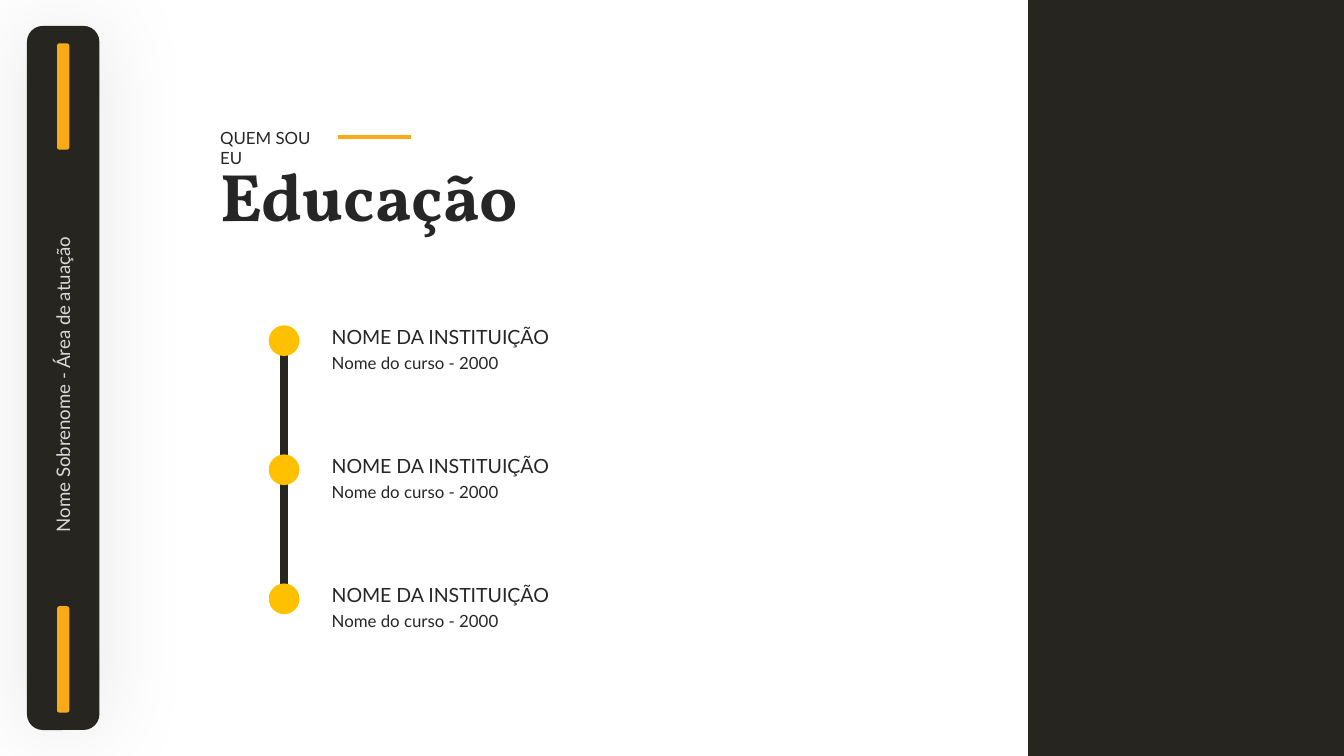
from dataclasses import dataclass

from lxml.etree import SubElement
from pptx import Presentation
from pptx.dml.color import RGBColor
from pptx.enum.shapes import MSO_CONNECTOR as Link, MSO_SHAPE as Shape
from pptx.enum.text import MSO_AUTO_SIZE as AutoSize
from pptx.oxml.ns import qn
from pptx.util import Cm, Pt


@dataclass(frozen=True)
class Theme:
    """Colours and text formats of the slide."""
    dark: str = "262520"
    accent: str = "F9AB17"
    dot: str = "FFC000"
    ink: str = "262626"
    pale: str = "D9D9D9"
    body_font: str = "Lato"
    title_font: str = "Vollkorn"
    title_size: float = 36
    institution_size: float = 10.5
    label_size: float = 10
    small_size: float = 9

    def text(self, size, **changes):
        """Return the font values for a text of the given size."""
        return {"name": self.body_font, "size": Pt(size), "color": self.ink} | changes


THEME = Theme()


def set_font(font, values):
    """Apply a dict of format values to a font."""
    for key, value in values.items():
        if key == "color":
            font.color.rgb = RGBColor.from_string(value)
        else:
            setattr(font, key, value)


def add_block(slide, kind, box, color, rounding=None):
    """Add a plain filled shape."""
    block = slide.shapes.add_shape(kind, *map(Cm, box))
    block.shadow.inherit = False
    block.fill.solid()
    block.fill.fore_color.rgb = RGBColor.from_string(color)
    block.line.fill.background()
    if rounding is not None:
        block.adjustments[0] = rounding
    return block


def add_glow(block, blur, opacity):
    """Give a shape a soft black shadow without offset."""
    effects = block._element.spPr.find(qn("a:effectLst"))
    shadow = SubElement(effects, qn("a:outerShdw"), blurRad=str(Pt(blur)),
                        dist="0", dir="0", algn="ctr", rotWithShape="0")
    black = SubElement(shadow, qn("a:srgbClr"), val="000000")
    SubElement(black, qn("a:alpha"), val=str(opacity * 1000))


def add_rule(slide, start, end, color, width):
    """Add a straight line between two points."""
    rule = slide.shapes.add_connector(Link.STRAIGHT, *map(Cm, (*start, *end)))
    rule.line.color.rgb = RGBColor.from_string(color)
    rule.line.width = Pt(width)
    SubElement(rule._element.spPr, qn("a:effectLst"))


def add_text(slide, box, words, values, spacing=None):
    """Add a wrapped one-paragraph text box."""
    holder = slide.shapes.add_textbox(*map(Cm, box))
    frame = holder.text_frame
    frame.word_wrap = True
    frame.auto_size = AutoSize.SHAPE_TO_FIT_TEXT
    paragraph = frame.paragraphs[0]
    paragraph.line_spacing = spacing
    run = paragraph.add_run()
    run.text = words
    set_font(run.font, values)
    return holder


def draw_sidebar(slide, box, words):
    """Draw the rounded bar with its two accents and upright label."""
    left, top, width, height = box
    bar = add_block(slide, Shape.ROUNDED_RECTANGLE, box, THEME.dark, 0.22)
    add_glow(bar, blur=50, opacity=10)
    accent_width, accent_height, inset = 0.23, 2.01, 0.33
    accent_left = left + (width - accent_width) / 2
    for accent_top in (top + inset, top + height - inset - accent_height):
        add_block(slide, Shape.ROUNDED_RECTANGLE,
                  (accent_left, accent_top, accent_width, accent_height),
                  THEME.accent, 0.19)
    label_width, label_height = 6.32, 0.69
    label_box = (left + (width - label_width) / 2,
                 top + (height - label_height) / 2, label_width, label_height)
    label = add_text(slide, label_box, words,
                     THEME.text(THEME.label_size, color=THEME.pale))
    label.rotation = 270


def draw_heading(slide, box, kicker, title):
    """Draw the kicker with its rule and the title below."""
    left, top, width, height = box
    title_offset = 0.5
    add_text(slide, (left, top + title_offset, width, height - title_offset), title,
             THEME.text(THEME.title_size, name=THEME.title_font, bold=True))
    add_text(slide, (left, top, 2.59, 0.64), kicker, THEME.text(THEME.small_size))
    rule_left, rule_top = left + 2.47, top + 0.3
    add_rule(slide, (rule_left, rule_top), (rule_left + 1.39, rule_top), THEME.accent, 2)


def draw_timeline(slide, box, entries):
    """Draw evenly spaced dots on a line, each with institution and course."""
    left, top, width, height = box
    dot, text_offset = 0.58, 0.94
    step = (height - dot) / (len(entries) - 1)
    axis = left + dot / 2
    add_rule(slide, (axis, top + dot / 2), (axis, top + height - dot / 2), THEME.dark, 4)
    for index, (institution, course) in enumerate(entries):
        dot_top = top + index * step
        text_left, text_width = left + text_offset, width - text_offset
        add_text(slide, (text_left, dot_top - 0.36, text_width, 0.86), institution,
                 THEME.text(THEME.institution_size), 1.5)
        add_text(slide, (text_left, dot_top + 0.2, text_width, 0.79), course,
                 THEME.text(THEME.small_size), 1.5)
        add_block(slide, Shape.OVAL, (left, dot_top, dot, dot), THEME.dot)


def main():
    """Build the education slide."""
    deck = Presentation()
    deck.slide_width, deck.slide_height = Cm(25.4), Cm(14.29)
    slide = deck.slides.add_slide(deck.slide_layouts[6])
    add_block(slide, Shape.RECTANGLE, (19.43, 0, 5.97, 14.29), THEME.dark)
    draw_sidebar(slide, (0.51, 0.49, 1.37, 13.31), "Nome Sobrenome - Área de atuação")
    draw_timeline(slide, (5.08, 6.15, 8.2, 5.46),
                  [("NOME DA INSTITUIÇÃO", "Nome do curso - 2000")] * 3)
    draw_heading(slide, (3.91, 2.29, 8.36, 2.3), "QUEM SOU EU", "Educação")
    deck.save("out.pptx")


if __name__ == "__main__":
    main()
